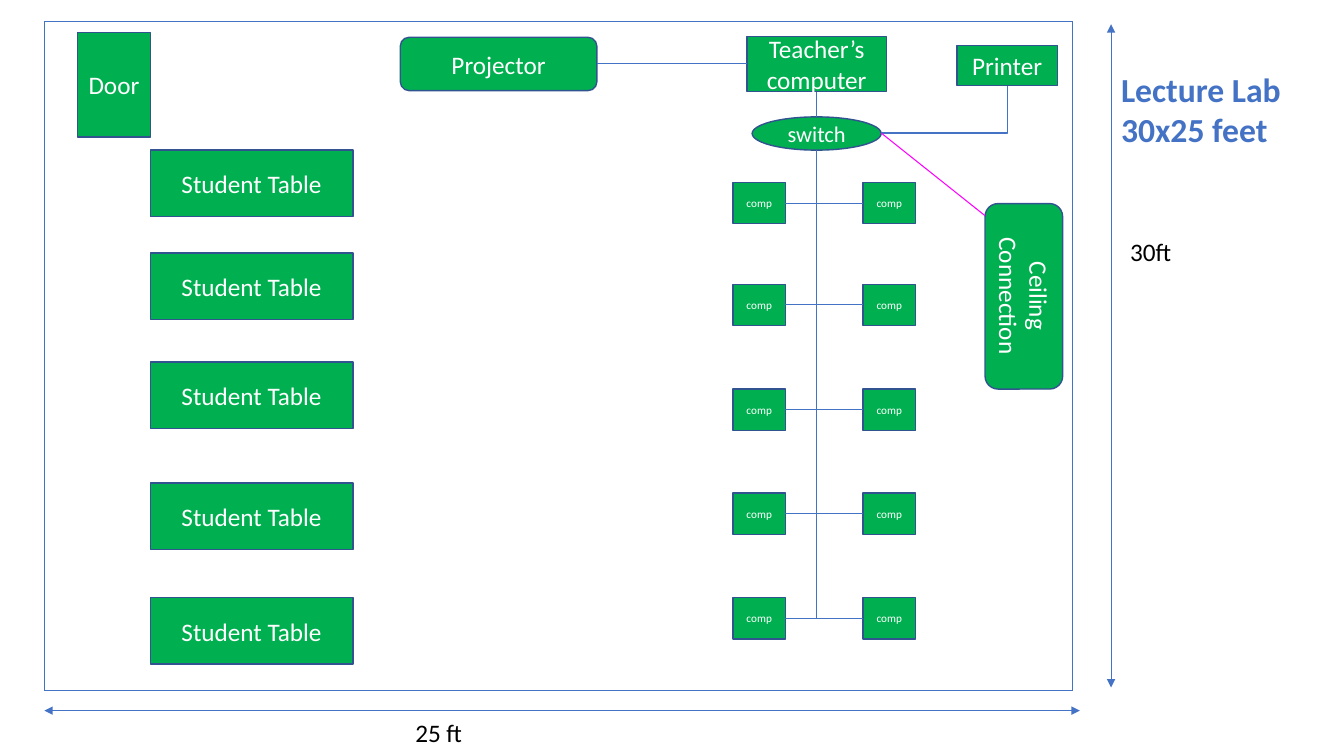
from dataclasses import dataclass

from lxml.etree import SubElement
from pptx import Presentation
from pptx.dml.color import RGBColor as Rgb
from pptx.enum.shapes import MSO_CONNECTOR as Link, MSO_SHAPE as Form
from pptx.enum.text import MSO_ANCHOR as Anchor, PP_ALIGN as Align
from pptx.oxml.ns import qn
from pptx.util import Inches, Pt


@dataclass(frozen=True)
class Theme:
    font: str = "Calibri"
    green: Rgb = Rgb(0x00, 0xB0, 0x50)
    edge: Rgb = Rgb(0x31, 0x53, 0x8F)
    blue: Rgb = Rgb(0x44, 0x72, 0xC4)
    pink: Rgb = Rgb(0xFF, 0x00, 0xFF)
    white: Rgb = Rgb(0xFF, 0xFF, 0xFF)
    black: Rgb = Rgb(0x00, 0x00, 0x00)
    title: int = 24
    body: int = 18
    hub: int = 16
    small: int = 8


THEME = Theme()


def write(frame, text, size, color, align, bold=False):
    frame.text = text
    for para in frame.paragraphs:
        para.alignment = align
        for run in para.runs:
            font = run.font
            font.name, font.size, font.bold = THEME.font, Pt(size), bold
            font.color.rgb = color


def add_box(slide, area, text="", size=THEME.body, form=Form.RECTANGLE):
    box = slide.shapes.add_shape(form, *map(Inches, area))
    box.shadow.inherit = False
    box.fill.solid()
    box.fill.fore_color.rgb = THEME.green
    box.line.color.rgb = THEME.edge
    box.line.width = Pt(1)
    if text:
        write(box.text_frame, text, size, THEME.white, Align.CENTER)
    return box


def add_label(slide, area, text, size=THEME.body, color=THEME.black,
              align=Align.LEFT, bold=False, wrap=False):
    label = slide.shapes.add_textbox(*map(Inches, area))
    label.text_frame.word_wrap = wrap
    write(label.text_frame, text, size, color, align, bold)
    return label


def add_line(slide, start, end, color=THEME.blue, kind=Link.STRAIGHT):
    line = slide.shapes.add_connector(kind, *map(Inches, start + end))
    line.line.color.rgb = color
    line.line.width = Pt(0.75)
    SubElement(line._element.spPr, qn("a:effectLst"))
    return line


def add_bend(slide, start, end):
    """Run across from start, then turn once to reach end."""
    bend = add_line(slide, start, end, kind=Link.ELBOW)
    bend._element.spPr.find(qn("a:prstGeom")).set("prst", "bentConnector2")


def add_arrow(slide, start, end):
    arrow = add_line(slide, start, end)
    for tip in ("a:headEnd", "a:tailEnd"):
        SubElement(arrow.line._get_or_add_ln(), qn(tip), type="triangle")


def join(slide, first, side, second, other):
    line = add_line(slide, (0, 0), (1, 1))
    line.begin_connect(first, side)
    line.end_connect(second, other)


def add_walls(slide):
    left, top, right, base = 0.44, 0.21, 10.64, 6.85
    corners = [(left, top), (right, top), (right, base), (left, base)]
    for start, end in zip(corners, corners[1:] + corners[:1]):
        add_line(slide, start, end)
    # Room size
    add_arrow(slide, (11.02, 0.24), (11.02, 6.82))
    add_arrow(slide, (left, 7.05), (10.71, 7.05))
    add_label(slide, (4.02, 7.07, 0.68, 0.4), "25 ft")
    add_label(slide, (11.11, 2.3, 0.73, 0.4), "30ft")


def add_seats(slide, trunk):
    wide, high = 0.52, 0.41
    for top in (1.81, 2.82, 3.86, 4.89, 5.93):
        for left, port in ((7.27, 7.27 + wide), (8.56, 8.56)):
            add_box(slide, (left, top, wide, high), "comp", THEME.small)
            add_bend(slide, (port, top + high / 2), trunk)


def main():
    deck = Presentation()
    deck.slide_width, deck.slide_height = Inches(13.33), Inches(7.5)
    slide = deck.slides.add_slide(deck.slide_layouts[6])

    # Room
    add_walls(slide)
    add_box(slide, (0.77, 0.32, 0.72, 1.04), "Door")
    add_label(slide, (11.02, 0.63, 1.92, 0.91), "Lecture Lab\n30x25 feet",
              THEME.title, THEME.blue, bold=True, wrap=True)

    # Student tables
    for top in (1.49, 2.51, 3.59, 4.79, 5.93):
        add_box(slide, (1.49, top, 2.01, 0.66), "Student Table")

    # Front desk and switch
    screen = add_box(slide, (3.97, 0.37, 1.95, 0.53), "Projector",
                     form=Form.ROUNDED_RECTANGLE)
    teacher = add_box(slide, (7.41, 0.36, 1.38, 0.55), "Teacher’s computer")
    switch = add_box(slide, (7.46, 1.16, 1.28, 0.33), "switch", THEME.hub,
                     Form.OVAL)
    add_box(slide, (9.49, 0.45, 1, 0.4), "Printer")
    join(slide, screen, 3, teacher, 1)
    join(slide, teacher, 2, switch, 0)
    port = (8.74, 1.32)
    add_bend(slide, port, (9.99, 0.85))

    # Student computers
    add_seats(slide, (8.1, 1.49))

    # Ceiling link
    add_box(slide, (9.77, 2.02, 0.77, 1.84), form=Form.ROUNDED_RECTANGLE)
    label = add_label(slide, (9.28, 2.59, 1.76, 0.69), "Ceiling Connection",
                      color=THEME.white, align=Align.CENTER, wrap=True)
    label.text_frame.vertical_anchor = Anchor.MIDDLE
    label.rotation = 90
    add_line(slide, port, (9.77, 2.14), THEME.pink)

    deck.save("out.pptx")


if __name__ == "__main__":
    main()
